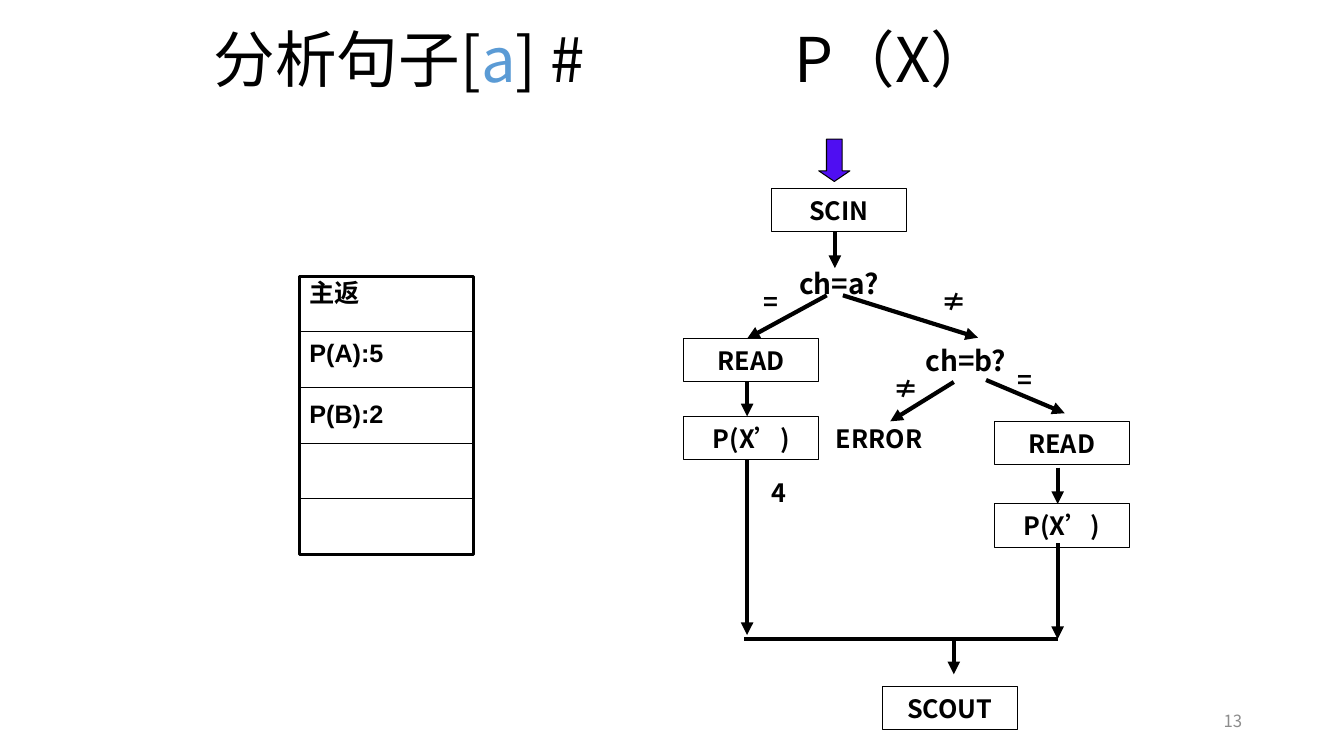
from lxml.etree import SubElement
from pptx import Presentation
from pptx.dml.color import RGBColor
from pptx.enum.shapes import MSO_CONNECTOR as Line, MSO_SHAPE as Shape
from pptx.enum.text import MSO_ANCHOR as Anchor, PP_ALIGN as Align
from pptx.oxml.ns import qn
from pptx.util import Inches, Pt

COLORS = {"ink": "000000", "accent": "5B9BD5", "arrow": "4F0EF2", "muted": "8C8C8C"}
CJK = "Noto Sans CJK SC"
TITLE = [("分析句子[", "ink"), ("a", "accent"), ("] #\tP（X）", "ink")]
TITLE_TAB = 5.76
PAGE_NUMBER = "13"

# Flowchart grid in inches: column centres and row tops
COLS = {"yes": 7.45, "entry": 8.32, "error": 8.72, "exit": 9.42, "test": 9.58, "no": 10.53}
ROWS = {"scin": 1.87, "ask_a": 2.59, "read": 3.36, "call": 4.13,
        "read_b": 4.18, "call_b": 5.0, "scout": 6.81}
STEP_SIZE = (1.34, 0.43)
LABEL_SIZE = (0.32, 0.4)
SHAFT = 0.04  # arrows stand this far off the column centre
MERGE = 6.34

STEPS = [("SCIN", "entry", "scin"), ("READ", "yes", "read"), ("P(X’)", "yes", "call"),
         ("READ", "no", "read_b"), ("P(X’)", "no", "call_b"), ("SCOUT", "exit", "scout")]
QUESTIONS = [("ch=a?", "entry", "ask_a"), ("ch=b?", "test", "read")]
LABELS = [("=", 7.49, 2.79), ("≠", 9.3, 2.79), ("≠", 8.83, 3.65),
          ("=", 10.01, 3.57), ("4", 7.57, 4.69)]
DROPS = [("entry", -1, 2.3, 2.66), ("yes", -1, 3.78, 4.13), ("yes", -1, 4.56, 6.3),
         ("no", -1, 4.64, 5.0), ("no", -1, 5.39, MERGE), ("exit", 1, MERGE, 6.69)]
BRANCHES = [(8.2, 2.93, 7.41, 3.36), (8.36, 2.93, 9.7, 3.35),
            (9.46, 3.79, 8.83, 4.18), (9.78, 3.77, 10.56, 4.1)]

STACK = ["主返", "P(A):5", "P(B):2"]
STACK_AREA = (2.97, 2.74, 1.73, 2.76)
STACK_ROWS = 5

deck = Presentation()
deck.slide_width, deck.slide_height = Inches(13.33), Inches(7.5)
page = deck.slides.add_slide(deck.slide_layouts[6])


def color(name):
    return RGBColor.from_string(COLORS[name])


def add_spans(para, spans, size, bold=False, font=CJK):
    for text, ink in spans:
        span = para.add_run()
        span.text = text
        for key, value in {"size": Pt(size), "bold": bold, "name": font}.items():
            setattr(span.font, key, value)
        span.font.color.rgb = color(ink)
        SubElement(span.font._element, qn("a:ea"), typeface=CJK)


def set_frame(box, anchor, sides=0.0, ends=0.05):
    frame = box.text_frame
    values = {"word_wrap": True, "vertical_anchor": anchor,
              "margin_left": Inches(sides), "margin_right": Inches(sides),
              "margin_top": Inches(ends), "margin_bottom": Inches(ends)}
    for key, value in values.items():
        setattr(frame, key, value)
    return frame


def add_text(area, spans, size, align=Align.CENTER, anchor=Anchor.TOP, bold=True, sides=0.0):
    box = page.shapes.add_textbox(*map(Inches, area))
    para = set_frame(box, anchor, sides).paragraphs[0]
    para.alignment = align
    add_spans(para, spans, size, bold)
    return para


def add_outline(kind, area, width=0.75, fill=None):
    shape = page.shapes.add_shape(kind, *map(Inches, area))
    shape.shadow.inherit = False
    if fill:
        shape.fill.solid()
        shape.fill.fore_color.rgb = color(fill)
    else:
        shape.fill.background()
    shape.line.color.rgb = color("ink")
    shape.line.width = Pt(width)
    return shape


def add_line(ends, width=3.0, arrow=True):
    line = page.shapes.add_connector(Line.STRAIGHT, *map(Inches, ends))
    line.line.color.rgb = color("ink")
    line.line.width = Pt(width)
    if arrow:
        SubElement(line.line._get_or_add_ln(), qn("a:tailEnd"), type="triangle")
    SubElement(line._element.spPr, qn("a:effectLst"))


def step_area(col, row):
    width, height = STEP_SIZE
    return COLS[col] - width / 2, ROWS[row], width, height


def draw_headings():
    para = add_text((2.02, 0, 9, 1.25), [], 44, Align.LEFT, Anchor.MIDDLE, False, 0.1)
    para.line_spacing = 0.9
    tabs = SubElement(para._p.get_or_add_pPr(), qn("a:tabLst"))
    SubElement(tabs, qn("a:tab"), pos=str(Inches(TITLE_TAB)), algn="l")
    add_spans(para, TITLE, 44)
    add_text((9.42, 6.95, 3, 0.4), [(PAGE_NUMBER, "muted")], 12,
             Align.RIGHT, Anchor.MIDDLE, False, 0.1)


def draw_flowchart():
    start = add_outline(Shape.DOWN_ARROW, (8.12, 1.38, 0.31, 0.42), fill="arrow")
    start.adjustments[0], start.adjustments[1] = 0.5, 0.34
    for text, col, row in STEPS:
        box = add_outline(Shape.RECTANGLE, step_area(col, row))
        para = set_frame(box, Anchor.MIDDLE).paragraphs[0]
        para.alignment = Align.CENTER
        add_spans(para, [(text, "ink")], 18, True)
    for text, col, row in QUESTIONS:
        add_text(step_area(col, row), [(text, "ink")], 20)
    add_text(step_area("error", "call"), [("ERROR", "ink")], 18, anchor=Anchor.MIDDLE)
    for text, left, top in LABELS:
        add_text((left, top, *LABEL_SIZE), [(text, "ink")], 18)
    for col, side, top, bottom in DROPS:
        x = COLS[col] + side * SHAFT
        add_line((x, top, x, bottom))
    for ends in BRANCHES:
        add_line(ends)
    add_line((7.38, MERGE, COLS["no"] - SHAFT, MERGE), 2.25, False)


def draw_stack():
    left, top, width, height = STACK_AREA
    frame = set_frame(add_outline(Shape.RECTANGLE, STACK_AREA, 2.25), Anchor.TOP, 0.1, 0.01)
    for index, text in enumerate(STACK):
        para = frame.add_paragraph() if index else frame.paragraphs[0]
        para.alignment = Align.LEFT
        if index:
            para.space_before = Pt(21.5)
        add_spans(para, [(text, "ink")], 18, True, "Arial")
    for row in range(1, STACK_ROWS):
        y = top + row * height / STACK_ROWS
        add_line((left, y, left + width, y), 0.75, False)


draw_headings()
draw_flowchart()
draw_stack()
deck.save("out.pptx")
